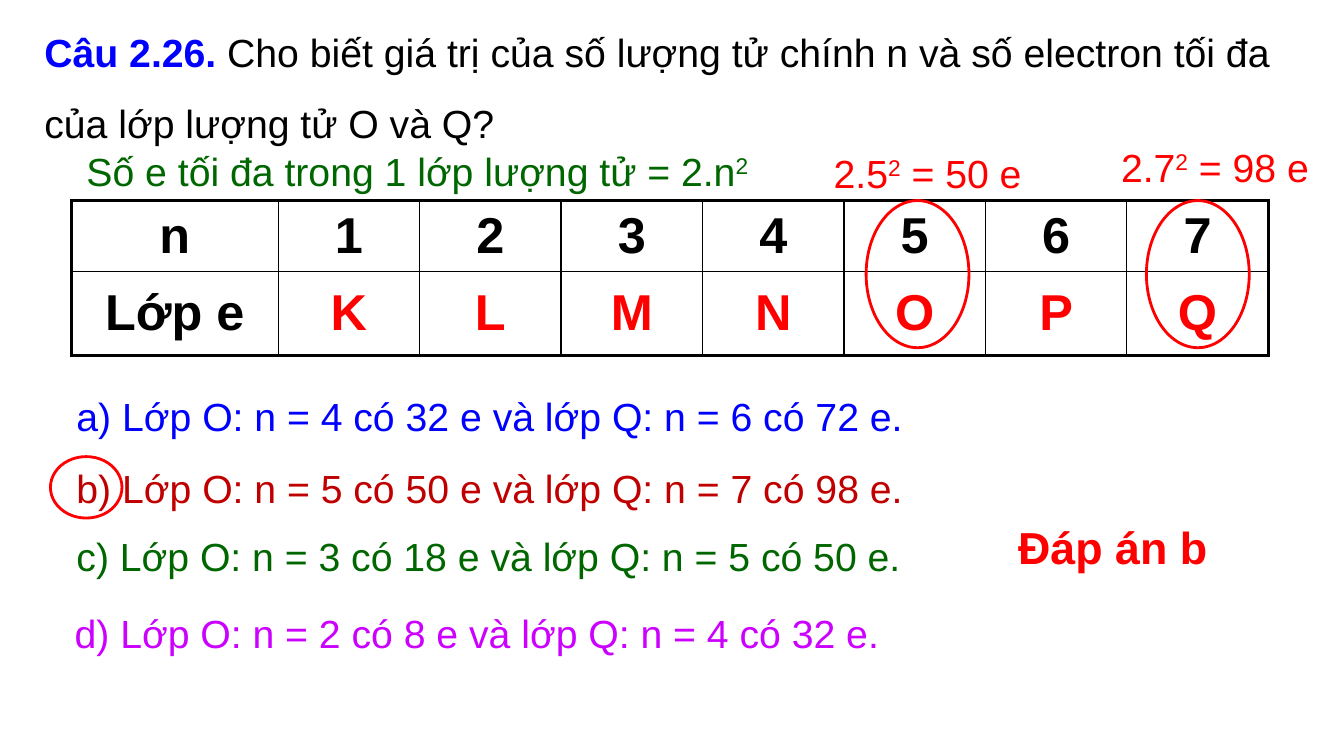
from dataclasses import dataclass

from lxml import etree
from pptx import Presentation
from pptx.dml.color import RGBColor
from pptx.enum.shapes import MSO_SHAPE
from pptx.enum.text import MSO_ANCHOR, MSO_AUTO_SIZE, PP_ALIGN
from pptx.oxml.ns import qn
from pptx.util import Inches, Pt

OVAL = MSO_SHAPE.OVAL
TOP, MIDDLE = MSO_ANCHOR.TOP, MSO_ANCHOR.MIDDLE
NO_FIT = MSO_AUTO_SIZE.NONE
LEFT, CENTER = PP_ALIGN.LEFT, PP_ALIGN.CENTER

FONT = "Arial"
COLORS = {
    "black": "000000",
    "blue": "0000FF",
    "red": "FF0000",
    "dark_red": "C00000",
    "green": "006600",
    "purple": "CC00FF",
}
LAYERS = [("n", "Lớp e"), ("1", "K"), ("2", "L"), ("3", "M"),
          ("4", "N"), ("5", "O"), ("6", "P"), ("7", "Q")]
TABLE_LEFT, TABLE_TOP, TABLE_WIDTH = 0.71, 1.99, 11.87
HEAD_WIDTH = 2.05
ROW_HEIGHTS = (0.7, 0.84)
THICK, THIN = 2.25, 1


@dataclass
class Span:
    text: str
    raised: bool = False


@dataclass
class Label:
    left: float
    top: float
    width: float
    height: float
    color: str
    spans: list[Span]
    size: int = 28
    bold: bool = False


@dataclass
class Ring:
    left: float
    top: float
    width: float
    height: float


OPTIONS = [
    Label(0.66, 3.84, 9.58, 0.88, "blue",
          [Span("a) Lớp O: n = 4 có 32 e và lớp Q: n = 6 có 72 e.")]),
    Label(0.66, 4.56, 10.45, 1.04, "dark_red",
          [Span("b) Lớp O: n = 5 có 50 e và lớp Q: n = 7 có 98 e.")]),
    Label(0.66, 5.23, 8.79, 1.04, "green",
          [Span("c) Lớp O: n = 3 có 18 e và lớp Q: n = 5 có 50 e.")]),
]
LAST_OPTION = Label(0.64, 6.05, 8.62, 0.76, "purple",
                    [Span("d) Lớp O: n = 2 có 8 e và lớp Q: n = 4 có 32 e.")])
NOTES = [
    Label(0.76, 1.41, 7.94, 0.57, "green",
          [Span("Số e tối đa trong 1 lớp lượng tử = 2.n"), Span("2", True)]),
    Label(8.17, 1.43, 2.17, 0.57, "red",
          [Span("2.5"), Span("2", True), Span(" = 50 e")]),
    Label(11.02, 1.37, 2.31, 0.57, "red",
          [Span("2.7"), Span("2", True), Span(" = 98 e")]),
    Label(10, 5.11, 2.4, 0.64, "red", [Span("Đáp án b")], 32, True),
]
RINGS = [Ring(8.59, 1.99, 1.02, 1.46), Ring(11.37, 1.99, 1.02, 1.46),
         Ring(0.5, 4.53, 0.71, 0.61)]


def rgb(name: str) -> RGBColor:
    return RGBColor.from_string(COLORS[name])


def style(font, size: int, color: str, bold: bool = False) -> None:
    font.name, font.size, font.bold = FONT, Pt(size), bold
    font.color.rgb = rgb(color)


def place(shape, left: float, top: float, width: float, height: float) -> None:
    shape.left, shape.top = Inches(left), Inches(top)
    shape.width, shape.height = Inches(width), Inches(height)


def prepare_frame(box) -> None:
    frame = box.text_frame
    frame.word_wrap = True
    frame.auto_size = NO_FIT
    frame.vertical_anchor = TOP


def write_label(box, label: Label) -> None:
    place(box, label.left, label.top, label.width, label.height)
    prepare_frame(box)
    para = box.text_frame.paragraphs[0]
    style(para.font, label.size, label.color, label.bold)
    for span in label.spans:
        run = para.add_run()
        run.text = span.text
        if span.raised:
            run._r.get_or_add_rPr().set("baseline", "30000")


def add_question(page) -> None:
    title = page.shapes.title
    place(title, 0.34, 0, 12.46, 1.7)
    prepare_frame(title)
    para = title.text_frame.paragraphs[0]
    para.alignment, para.line_spacing = LEFT, 1.5
    for text, color, bold in (
        ("Câu 2.26. ", "blue", True),
        ("Cho biết giá trị của số lượng tử chính n và số electron tối đa "
         "của lớp lượng tử O và Q?", "black", False),
    ):
        run = para.add_run()
        run.text = text
        style(run.font, 28, color, bold)


def add_last_option(page) -> None:
    body = page.placeholders[1]
    para = body.text_frame.paragraphs[0]
    para.line_spacing, para.space_before = 0.9, Pt(0)
    properties = para._p.get_or_add_pPr()
    properties.set("marL", "0")
    properties.set("indent", "0")
    etree.SubElement(properties, qn("a:buNone"))
    write_label(body, LAST_OPTION)


def set_borders(cell, widths: dict[str, float]) -> None:
    properties = cell._tc.get_or_add_tcPr()
    for side, width in widths.items():
        line = etree.SubElement(properties, qn(f"a:ln{side}"), w=str(Pt(width)))
        fill = etree.SubElement(line, qn("a:solidFill"))
        etree.SubElement(fill, qn("a:srgbClr"), val=COLORS["black"])


def add_layer_table(page) -> None:
    last_column, last_row = len(LAYERS) - 1, len(ROW_HEIGHTS) - 1
    table = page.shapes.add_table(
        len(ROW_HEIGHTS), len(LAYERS), Inches(TABLE_LEFT), Inches(TABLE_TOP),
        Inches(TABLE_WIDTH), Inches(sum(ROW_HEIGHTS))).table
    table.first_row = table.horz_banding = False
    for row, height in zip(table.rows, ROW_HEIGHTS):
        row.height = Inches(height)
    for c, layer in enumerate(LAYERS):
        width = (TABLE_WIDTH - HEAD_WIDTH) / last_column if c else HEAD_WIDTH
        table.columns[c].width = Inches(width)
        for r, text in enumerate(layer):
            cell = table.cell(r, c)
            cell.text = text
            cell.vertical_anchor = MIDDLE
            para = cell.text_frame.paragraphs[0]
            para.alignment = CENTER
            style(para.font, 36, "red" if r and c else "black", True)
            # Thick frame outside, thin rules inside
            set_borders(cell, {
                "L": THIN if c else THICK,
                "R": THICK if c == last_column else THIN,
                "T": THIN if r else THICK,
                "B": THICK if r == last_row else THIN,
            })
            cell.fill.background()


def add_ring(page, ring: Ring) -> None:
    oval = page.shapes.add_shape(OVAL, Inches(ring.left), Inches(ring.top),
                                 Inches(ring.width), Inches(ring.height))
    oval.shadow.inherit = False
    oval.fill.background()
    oval.line.color.rgb = rgb("red")
    oval.line.width = Pt(2)


def main() -> None:
    deck = Presentation()
    deck.slide_width, deck.slide_height = Inches(13.33), Inches(7.5)
    page = deck.slides.add_slide(deck.slide_layouts[1])

    # Question and table of electron layers
    add_question(page)
    add_layer_table(page)

    # Answer options, formulas and the result
    add_last_option(page)
    for label in OPTIONS + NOTES:
        write_label(page.shapes.add_textbox(0, 0, 0, 0), label)

    # Rings around layers O and Q and the right answer
    for ring in RINGS:
        add_ring(page, ring)

    deck.save("out.pptx")


if __name__ == "__main__":
    main()
